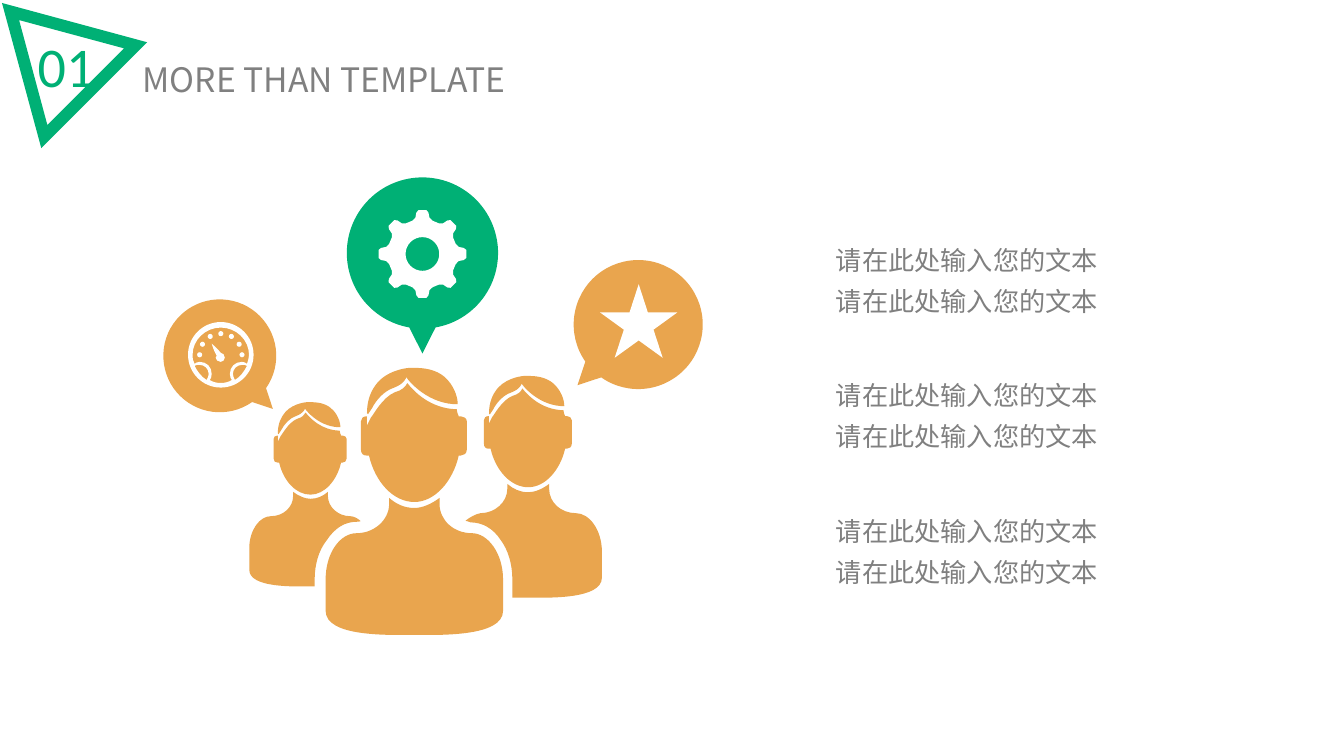
from dataclasses import dataclass
from math import cos, radians, sin, tan

from lxml.etree import SubElement
from pptx import Presentation
from pptx.dml.color import RGBColor
from pptx.enum.shapes import MSO_SHAPE
from pptx.enum.text import MSO_ANCHOR, MSO_AUTO_SIZE, PP_ALIGN
from pptx.oxml.ns import qn
from pptx.util import Inches, Pt


@dataclass(frozen=True)
class Theme:
    green: RGBColor = RGBColor(0x00, 0xB0, 0x75)
    orange: RGBColor = RGBColor(0xE9, 0xA5, 0x4E)
    white: RGBColor = RGBColor(0xFF, 0xFF, 0xFF)
    gray: RGBColor = RGBColor(0x80, 0x80, 0x80)
    number_font: str = "Calibri"
    text_font: str = "Noto Sans CJK SC"
    number_size: float = 40
    title_size: float = 24
    body_size: float = 18.7


THEME = Theme()
COLUMNS, ROWS = 13.33, 7.5
CELL = Inches(1)  # the slide grid has square cells

# Outlines start at a point; pairs are straight lines, sixes are Bezier curves.
# People are measured from the top of the head, the gauge from its centre.
HAIR = [(.43, .36), (.43, .31, .41, .21, .33, .12), (.26, .04, .15, 0, .01, 0), (-.05, 0),
        (-.05, 0, -.24, .01, -.36, .14), (-.43, .22, -.47, .32, -.47, .45),
        (-.46, .46), (-.42, .4), (-.38, .32, -.3, .23, -.21, .2),
        (-.1, .16, -.08, .1, -.08, .09), (-.08, .1, .1, .34, .39, .36)]
FACE = [(.46, .48), (.44, .48), (.43, .46, .42, .43, .42, .41), (.41, .41),
        (.16, .4, 0, .24, -.07, .15), (-.09, .19, -.12, .22, -.19, .24),
        (-.32, .29, -.42, .49, -.43, .49), (-.47, .57), (-.47, .48),
        (-.51, .48, -.53, .5, -.53, .53), (-.53, .81),
        (-.53, .85, -.51, .87, -.47, .87), (-.45, .87),
        (-.39, 1.13, -.21, 1.33, 0, 1.33), (.2, 1.33, .38, 1.13, .44, .87), (.46, .87),
        (.49, .87, .52, .85, .52, .81), (.52, .53), (.52, .5, .49, .48, .46, .48)]
SHOULDERS = [(.57, 1.64), (.39, 1.64, .25, 1.51, .25, 1.35), (.25, 1.29),
             (.17, 1.35, .08, 1.39, 0, 1.39), (-.1, 1.39, -.18, 1.35, -.25, 1.29),
             (-.25, 1.35), (-.25, 1.51, -.4, 1.64, -.57, 1.64)]
ARM = [(0, 2.65), (.25, 2.65, .88, 2.67, .88, 2.41), (.88, 2.1),
       (.88, 1.84, .73, 1.64, .57, 1.64)]
FRONT_SIDE = [(-.74, 1.64, -.88, 1.84, -.88, 2.1), (-.88, 2.41),
              (-.88, 2.67, -.26, 2.65, 0, 2.65)]
RIGHT_CUT = [(-.63, 1.65, -.7, 1.69, -.75, 1.73), (-.72, 1.73, -.71, 1.75, -.69, 1.75),
             (-.55, 1.75, -.42, 1.82, -.33, 1.96), (-.24, 2.08, -.19, 2.25, -.19, 2.43),
             (-.19, 2.65)]
LEFT_CUT = [(-.62, 1.64, -.68, 1.67, -.72, 1.71), (-.71, 1.72, -.68, 1.72, -.67, 1.72),
            (-.49, 1.72, -.35, 1.81, -.23, 1.99), (-.12, 2.13, -.06, 2.33, -.06, 2.55),
            (-.06, 2.65)]
LENS = [(-.14, .25), (-.19, .22, -.23, .17, -.26, .11), (-.25, .1, -.23, .1, -.21, .1),
        (-.16, .1, -.12, .14, -.12, .19), (-.12, .21, -.13, .23, -.14, .25)]
DIAL = [(.26, .09), (.25, .08, .23, .07, .21, .07), (.14, .07, .09, .12, .09, .19),
        (.09, .22, .1, .24, .11, .25), (.08, .27, .04, .28, 0, .28),
        (-.04, .28, -.08, .27, -.11, .25), (-.1, .24, -.09, .22, -.09, .19),
        (-.09, .12, -.14, .07, -.21, .07), (-.23, .07, -.25, .08, -.26, .09),
        (-.28, .06, -.28, .03, -.28, 0), (-.28, -.15, -.15, -.27, 0, -.27),
        (.15, -.27, .28, -.15, .28, 0), (.28, .03, .27, .06, .26, .09)]
NEEDLE = [(0, -.02), (-.04, -.07, -.09, -.11, -.09, -.11), (-.09, -.11, -.07, -.04, -.04, .01),
          (-.05, .02, -.05, .02, -.05, .03), (-.05, .05, -.03, .07, 0, .07),
          (.02, .07, .04, .05, .04, .03), (.04, 0, .02, -.02, 0, -.02)]
TOOTH = [(-.1, .33), (-.07, .36), (-.06, .41), (-.04, .435)]


def arc(radius, start=0, end=360, pieces=4):
    """Return a circular arc as an outline of Bezier curves."""
    step = radians(end - start) / pieces
    pull = 4 / 3 * tan(step / 4)
    outline = [(radius * cos(radians(start)), radius * sin(radians(start)))]
    for i in range(pieces):
        a = radians(start) + i * step
        b = a + step
        curve = (cos(a) - pull * sin(a), sin(a) + pull * cos(a),
                 cos(b) + pull * sin(b), sin(b) - pull * cos(b), cos(b), sin(b))
        outline.append(tuple(radius * v for v in curve))
    return outline


def paint(sp, color):
    sp.shadow.inherit = False
    sp.fill.solid()
    sp.fill.fore_color.rgb = color
    sp.line.fill.background()


def bend(sp, parts):
    """Turn the straight segments of a freeform into curves where a part has controls."""
    for line, part in zip(list(sp._element.iter(qn("a:lnTo"))), parts):
        if len(part) == 6:
            line.tag = qn("a:cubicBezTo")
            line.remove(line[0])
            for x, y in zip(part[::2], part[1::2]):
                SubElement(line, qn("a:pt"), x=str(x - sp.left), y=str(y - sp.top))


def add_outline(s, color, *contours, at=(0, 0), sx=1, sy=1):
    """Draw closed contours as one shape; inner contours become holes."""
    builder, parts = None, []
    for contour in contours:
        placed = [tuple(round((at[i % 2] + v * (sx, sy)[i % 2]) * CELL)
                        for i, v in enumerate(part)) for part in contour]
        if builder is None:
            builder = s.shapes.build_freeform(*placed[0], scale=1.0)
        else:
            builder.move_to(*placed[0])
        builder.add_line_segments([part[-2:] for part in placed[1:]], close=True)
        parts += placed[1:]
    sp = builder.convert_to_shape()
    bend(sp, parts)
    paint(sp, color)


def add_preset(s, kind, color, x, y, w, h):
    paint(s.shapes.add_shape(kind, *(round(v * CELL) for v in (x, y, w, h))), color)


def add_person(s, at, scale, side, mirror=1):
    add_outline(s, THEME.orange, SHOULDERS + side + ARM, at=at, sx=scale * mirror, sy=scale)
    for outline in (FACE, HAIR):
        add_outline(s, THEME.orange, outline, at=at, sx=scale, sy=scale)


def add_bubble(s, color, at, radius, angle):
    """Draw a round speech bubble whose tail points along angle."""
    tip = (1.33 * radius * cos(radians(angle)), 1.33 * radius * sin(radians(angle)))
    add_outline(s, color, arc(radius, angle + 10, angle + 350, pieces=8) + [tip], at=at)


def add_gauge(s, x, y):
    mirrored_lens = [tuple(-v if i % 2 == 0 else v for i, v in enumerate(part))
                     for part in LENS]
    add_outline(s, THEME.white, arc(.325), LENS, mirrored_lens, DIAL, at=(x, y))
    for part in arc(.21, 180, 360, pieces=6):
        px, py = part[-2:]
        add_preset(s, MSO_SHAPE.OVAL, THEME.white, x + px - .025, y + py - .025, .05, .05)
    add_outline(s, THEME.white, NEEDLE, at=(x, y))


def add_gear(s, at, teeth=8):
    tooth = TOOTH + [(-x, y) for x, y in reversed(TOOTH)]
    rim = []
    for i in range(teeth):
        a = -radians(360 / teeth * i)
        rim += [(x * cos(a) - y * sin(a), x * sin(a) + y * cos(a)) for x, y in tooth]
    add_outline(s, THEME.white, rim, arc(.167), at=at)


def write(sp, lines, box, font, size, color, spacing=1.0, anchor=MSO_ANCHOR.MIDDLE, wrap=True):
    for name, value in zip(("left", "top", "width", "height"), box):
        setattr(sp, name, round(value * CELL))
    tf = sp.text_frame
    for name, value in {"auto_size": MSO_AUTO_SIZE.NONE, "word_wrap": wrap,
                        "vertical_anchor": anchor}.items():
        setattr(tf, name, value)
    tf.text = "\n".join(lines)
    for p in tf.paragraphs:
        p.alignment, p.line_spacing = PP_ALIGN.CENTER, spacing
        r = p.runs[0]
        for name, value in {"name": font, "size": Pt(size)}.items():
            setattr(r.font, name, value)
        r.font.color.rgb = color
        SubElement(r.font._element, qn("a:ea"), typeface=font)


def main():
    prs = Presentation()
    prs.slide_width, prs.slide_height = round(COLUMNS * CELL), round(ROWS * CELL)
    s = prs.slides.add_slide(prs.slide_layouts[5])
    write(s.shapes.add_textbox(0, 0, 0, 0), ["01"], (.27, .26, .77, .77),
          THEME.number_font, THEME.number_size, THEME.green, wrap=False)
    add_outline(s, THEME.green, [(.02, .03), (1.46, .42), (.41, 1.47)],
                [(.19, .2), (.47, 1.24), (1.23, .48)])
    write(s.shapes.title, ["MORE THAN TEMPLATE"], (.81, .53, 4.81, .51),
          THEME.text_font, THEME.title_size, THEME.gray)
    for color, at, radius, angle in ((THEME.orange, (6.33, 3.22), .64, 135),
                                     (THEME.orange, (2.18, 3.53), .56, 45),
                                     (THEME.green, (4.19, 2.51), .75, 90)):
        add_bubble(s, color, at, radius, angle)
    add_person(s, (4.11, 3.65), 1, FRONT_SIDE)
    add_person(s, (5.24, 3.73), .83, RIGHT_CUT)
    add_person(s, (3.08, 3.99), .69, LEFT_CUT, mirror=-1)
    add_gauge(s, 2.19, 3.52)
    add_gear(s, (4.19, 2.52))
    add_preset(s, MSO_SHAPE.STAR_5_POINT, THEME.white, 5.95, 2.82, .77, .73)
    for i in range(3):
        write(s.shapes.add_textbox(0, 0, 0, 0), ["请在此处输入您的文本"] * 2,
              (8.13, 2.28 + 1.345 * i, 2.92, .92), THEME.text_font, THEME.body_size,
              THEME.gray, spacing=1.3, anchor=MSO_ANCHOR.TOP)
    prs.save("out.pptx")


if __name__ == "__main__":
    main()
